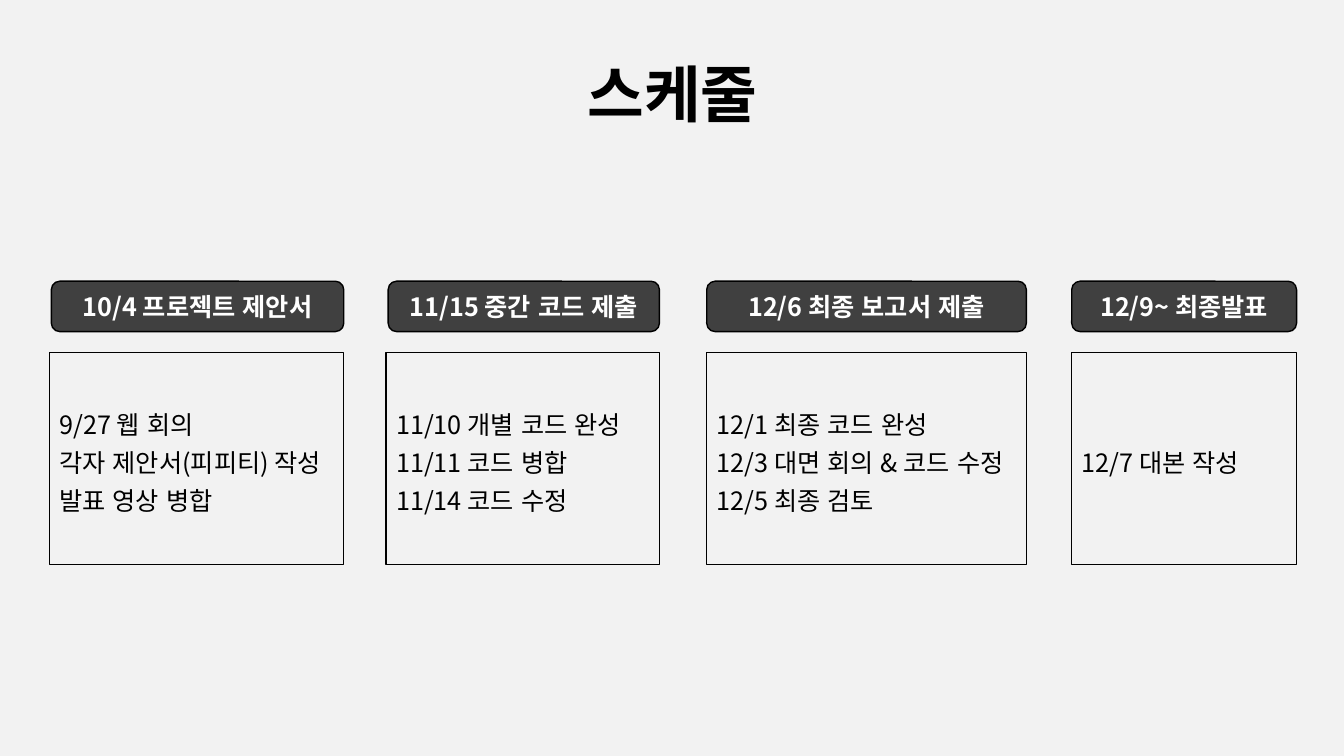
from lxml.etree import SubElement
from pptx import Presentation
from pptx.dml.color import RGBColor
from pptx.enum.lang import MSO_LANGUAGE_ID as Language
from pptx.enum.shapes import MSO_SHAPE as Shape
from pptx.enum.text import MSO_ANCHOR as Anchor, PP_ALIGN as Align
from pptx.oxml.ns import qn
from pptx.util import Inches, Pt

BLACK = RGBColor(0x00, 0x00, 0x00)
WHITE = RGBColor(0xFF, 0xFF, 0xFF)
DARK_GRAY = RGBColor(0x40, 0x40, 0x40)
LIGHT_GRAY = RGBColor(0xF2, 0xF2, 0xF2)
FONT = "Noto Sans CJK KR"

TITLE_FORMAT = {"size": Pt(44), "bold": True}
HEADING_FORMAT = {"size": Pt(18), "bold": True}
TASK_FORMAT = {"size": Pt(18), "bold": False}

HEADING_TOP, HEADING_HEIGHT = 2.79, 0.5
TASKS_TOP, TASKS_HEIGHT = 3.5, 2.1

# Heading, heading left, tasks left, shared right edge, tasks
STAGES = [
    ("10/4 프로젝트 제안서", 0.51, 0.49, 3.41,
     ["9/27 웹 회의", "각자 제안서(피피티) 작성", "발표 영상 병합"]),
    ("11/15 중간 코드 제출", 3.85, 3.83, 6.54,
     ["11/10 개별 코드 완성", "11/11 코드 병합", "11/14 코드 수정"]),
    ("12/6 최종 보고서 제출", 7.01, 7.01, 10.18,
     ["12/1 최종 코드 완성", "12/3 대면 회의 & 코드 수정", "12/5 최종 검토"]),
    ("12/9~ 최종발표", 10.63, 10.63, 12.86, ["12/7 대본 작성"]),
]


def write_lines(box, lines, font_format, color, align, spacing=1.0):
    """Fill a box with one paragraph per line, centred vertically."""
    frame = box.text_frame
    frame.word_wrap = True
    frame.vertical_anchor = Anchor.MIDDLE
    frame.text = "\n".join(lines)
    for para in frame.paragraphs:
        para.alignment = align
        para.line_spacing = spacing
        for span in para.runs:
            font = span.font
            values = {"name": FONT, "language_id": Language.KOREAN, **font_format}
            for name, value in values.items():
                setattr(font, name, value)
            font.color.rgb = color
            # Hangul takes its typeface from the East Asian font
            SubElement(span._r.get_or_add_rPr(), qn("a:ea"), typeface=FONT)


def add_title(page, text):
    box = page.shapes.add_textbox(Inches(0.67), Inches(0.3), Inches(12), Inches(1.25))
    write_lines(box, [text], TITLE_FORMAT, BLACK, Align.CENTER)


def add_outlined_shape(page, kind, left, top, right, height):
    box = page.shapes.add_shape(
        kind, Inches(left), Inches(top), Inches(right - left), Inches(height))
    box.shadow.inherit = False
    box.line.color.rgb = BLACK
    box.line.width = Pt(1)
    return box


def add_tasks(page, left, right, tasks):
    box = add_outlined_shape(
        page, Shape.RECTANGLE, left, TASKS_TOP, right, TASKS_HEIGHT)
    box.fill.background()
    write_lines(box, tasks, TASK_FORMAT, BLACK, Align.LEFT, spacing=1.25)


def add_heading(page, left, right, text):
    box = add_outlined_shape(
        page, Shape.FLOWCHART_ALTERNATE_PROCESS, left, HEADING_TOP, right, HEADING_HEIGHT)
    box.fill.solid()
    box.fill.fore_color.rgb = DARK_GRAY
    write_lines(box, [text], HEADING_FORMAT, WHITE, Align.CENTER)


def main():
    deck = Presentation()
    deck.slide_width, deck.slide_height = Inches(13.33), Inches(7.5)
    page = deck.slides.add_slide(deck.slide_layouts[6])
    page.background.fill.solid()
    page.background.fill.fore_color.rgb = LIGHT_GRAY

    add_title(page, "스케줄")
    for heading, heading_left, tasks_left, right, tasks in STAGES:
        add_tasks(page, tasks_left, right, tasks)
        add_heading(page, heading_left, right, heading)

    deck.save("out.pptx")


if __name__ == "__main__":
    main()
